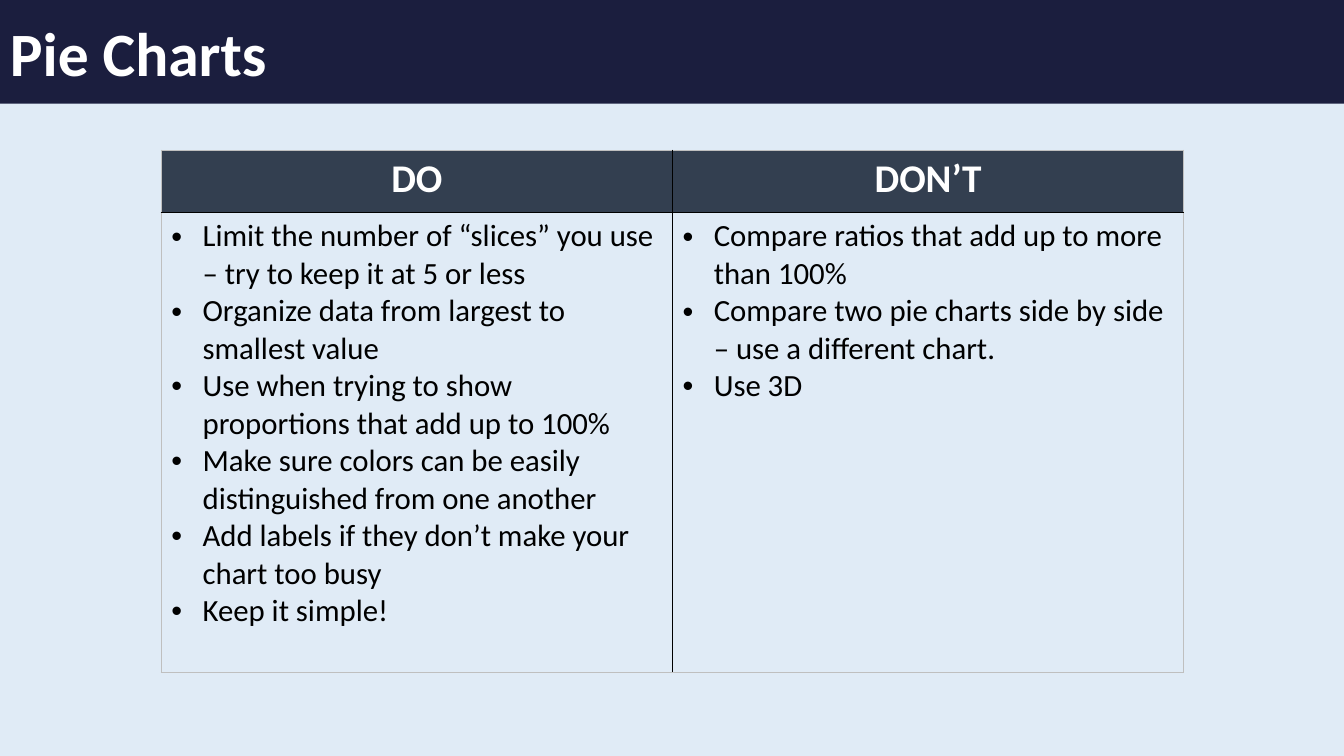
from lxml import etree
from pptx import Presentation
from pptx.dml.color import RGBColor
from pptx.enum.shapes import MSO_SHAPE
from pptx.enum.text import MSO_ANCHOR, PP_ALIGN
from pptx.oxml.ns import qn
from pptx.util import Inches, Pt

RECTANGLE = MSO_SHAPE.RECTANGLE
MIDDLE = MSO_ANCHOR.MIDDLE
LEFT, CENTER = PP_ALIGN.LEFT, PP_ALIGN.CENTER

NAVY = RGBColor(0x1B, 0x1E, 0x3E)
SLATE = RGBColor(0x33, 0x3F, 0x50)
PALE_BLUE = RGBColor(0xE0, 0xEB, 0xF6)
GRAY = RGBColor(0xBF, 0xBF, 0xBF)
BLACK = RGBColor(0, 0, 0)
WHITE = RGBColor(0xFF, 0xFF, 0xFF)
FONT = "Calibri"

SLIDE_WIDTH, SLIDE_HEIGHT = 13.33, 7.5
HEADER_HEIGHT = 0.62
BULLET_INDENT = 0.31

ADVICE = {
    "DO": [
        "Limit the number of “slices” you use – try to keep it at 5 or less",
        "Organize data from largest to smallest value",
        "Use when trying to show proportions that add up to 100%",
        "Make sure colors can be easily distinguished from one another",
        "Add labels if they don’t make your chart too busy",
        "Keep it simple!",
    ],
    "DON’T": [
        "Compare ratios that add up to more than 100%",
        "Compare two pie charts side by side – use a different chart.",
        "Use 3D",
    ],
}


def add_span(para, text, size, color, bold=False):
    span = para.add_run()
    span.text = text
    span.font.name = FONT
    span.font.size = Pt(size)
    span.font.bold = bold
    span.font.color.rgb = color


def add_bullet(para):
    properties = para._p.get_or_add_pPr()
    properties.set("marL", str(Inches(BULLET_INDENT)))
    properties.set("indent", str(-Inches(BULLET_INDENT)))
    etree.SubElement(properties, qn("a:buFont")).set("typeface", "Arial")
    etree.SubElement(properties, qn("a:buChar")).set("char", "•")


def set_borders(cell, colors):
    """Draw the cell edges, with colors keyed by L, R, T and B in that order."""
    properties = cell._tc.get_or_add_tcPr()
    for position, (side, color) in enumerate(colors.items()):
        line = etree.Element(qn(f"a:ln{side}"), w=str(Pt(1)))
        fill = etree.SubElement(line, qn("a:solidFill"))
        etree.SubElement(fill, qn("a:srgbClr")).set("val", str(color))
        properties.insert(position, line)


def add_title_bar(slide, left, top, width, height, title):
    bar = slide.shapes.add_shape(
        RECTANGLE, Inches(left), Inches(top), Inches(width), Inches(height))
    bar.shadow.inherit = False
    bar.fill.solid()
    bar.fill.fore_color.rgb = NAVY
    bar.line.fill.background()
    frame = bar.text_frame
    frame.word_wrap = True
    frame.vertical_anchor = MIDDLE
    para = frame.paragraphs[0]
    para.alignment = LEFT
    add_span(para, title, 44, WHITE, bold=True)


def fill_cell(cell, color):
    cell.fill.solid()
    cell.fill.fore_color.rgb = color


def add_advice_table(slide, left, top, width, height, advice):
    table = slide.shapes.add_table(
        2, len(advice), Inches(left), Inches(top), Inches(width), Inches(height)).table
    table.rows[0].height = Inches(HEADER_HEIGHT)
    table.rows[1].height = Inches(height - HEADER_HEIGHT)
    last = len(advice) - 1
    for column, (heading, tips) in enumerate(advice.items()):
        table.columns[column].width = Inches(width / len(advice))
        header, body = table.cell(0, column), table.cell(1, column)
        fill_cell(header, SLATE)
        fill_cell(body, PALE_BLUE)
        sides = {"L": BLACK if column > 0 else GRAY,
                 "R": BLACK if column < last else GRAY}
        set_borders(header, {**sides, "T": GRAY, "B": BLACK})
        set_borders(body, {**sides, "T": BLACK, "B": GRAY})

        para = header.text_frame.paragraphs[0]
        para.alignment = CENTER
        add_span(para, heading, 28, WHITE, bold=True)
        frame = body.text_frame
        for number, tip in enumerate(tips):
            para = frame.add_paragraph() if number else frame.paragraphs[0]
            add_bullet(para)
            add_span(para, tip, 22, BLACK)


def main():
    deck = Presentation()
    deck.slide_width = Inches(SLIDE_WIDTH)
    deck.slide_height = Inches(SLIDE_HEIGHT)
    slide = deck.slides.add_slide(deck.slide_layouts[6])
    slide.background.fill.solid()
    slide.background.fill.fore_color.rgb = PALE_BLUE
    add_title_bar(slide, 0, 0, SLIDE_WIDTH, 1.03, "Pie Charts")
    add_advice_table(slide, 1.6, 1.49, 10.14, 5.18, ADVICE)
    deck.save("out.pptx")


if __name__ == "__main__":
    main()
